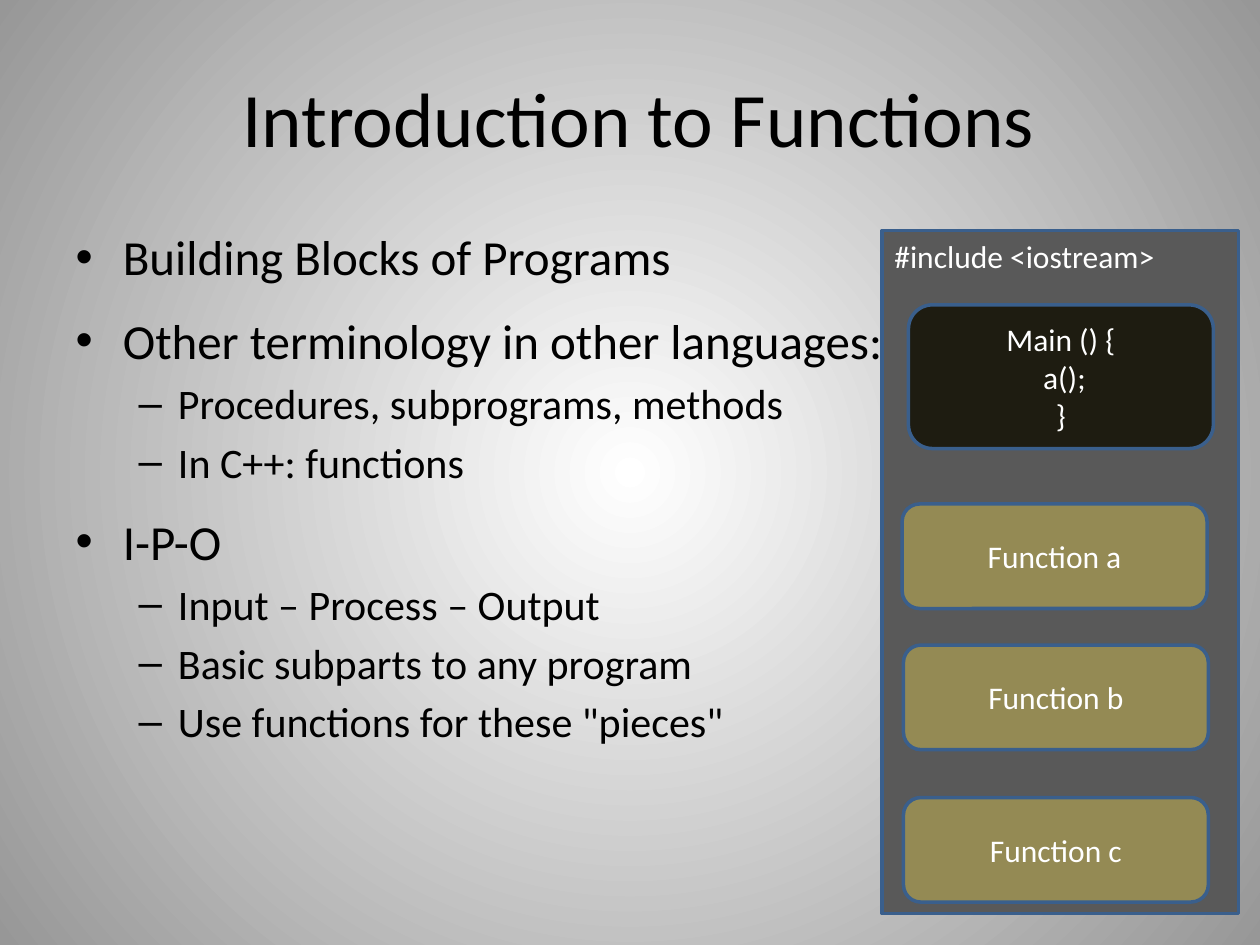
import pptx
import pptx.util
import pptx.dml.color
import pptx.enum.shapes
import pptx.enum.text
import pptx.oxml
import pptx.oxml.ns

Inches = pptx.util.Inches
Pt = pptx.util.Pt
RGBColor = pptx.dml.color.RGBColor
SHAPE = pptx.enum.shapes.MSO_SHAPE
ANCHOR = pptx.enum.text.MSO_ANCHOR
ALIGN = pptx.enum.text.PP_ALIGN

BLACK = RGBColor(0x00, 0x00, 0x00)
WHITE = RGBColor(0xFF, 0xFF, 0xFF)
EDGE_GRAY = RGBColor(0x97, 0x97, 0x97)
PANEL_GRAY = RGBColor(0x59, 0x59, 0x59)
OLIVE = RGBColor(0x94, 0x8A, 0x54)
DARK_OLIVE = RGBColor(0x1E, 0x1C, 0x11)
OUTLINE_BLUE = RGBColor(0x3A, 0x5F, 0x8C)
FONT = "Calibri"

# level, text, space before in points (None keeps the template's)
TOPICS = [
    (0, "Building Blocks of Programs", None),
    (0, "Other terminology in other languages:", 14),
    (1, "Procedures, subprograms, methods", None),
    (1, "In C++: functions", None),
    (0, "I-P-O", 14),
    (1, "Input – Process – Output", None),
    (1, "Basic subparts to any program", None),
    (1, 'Use functions for these "pieces"', None),
]
TOPIC_SIZES = (28, 24)

# name, left and top inside the program panel
FUNCTIONS = [("Function a", 0.16, 2.17),
             ("Function b", 0.17, 3.29),
             ("Function c", 0.17, 4.5)]


def place(part, left, top, width, height):
    part.left, part.top = Inches(left), Inches(top)
    part.width, part.height = Inches(width), Inches(height)


def add_run(paragraph, text, size, color):
    run = paragraph.add_run()
    run.text = text
    run.font.name = FONT
    run.font.size = Pt(size)
    run.font.color.rgb = color


def next_paragraph(frame, index):
    return frame.add_paragraph() if index else frame.paragraphs[0]


def paint_background(slide):
    fill = slide.background.fill
    fill.gradient()
    for stop, color in zip(fill.gradient_stops, (WHITE, EDGE_GRAY)):
        stop.color.rgb = color
    # Swap the linear direction for a circle around the centre
    linear = next(slide.element.iter(pptx.oxml.ns.qn("a:lin")))
    circle = pptx.oxml.parse_xml(
        f'<a:path {pptx.oxml.ns.nsdecls("a")} path="circle">'
        '<a:fillToRect l="50000" t="50000" r="50000" b="50000"/></a:path>')
    linear.getparent().replace(linear, circle)


def fill_title(title, box):
    place(title, *box)
    title.text_frame.vertical_anchor = ANCHOR.MIDDLE
    heading = title.text_frame.paragraphs[0]
    heading.alignment = ALIGN.CENTER
    add_run(heading, " Introduction to Functions", 44, BLACK)


def fill_topics(body, box):
    place(body, *box)
    for index, (level, text, space) in enumerate(TOPICS):
        topic = next_paragraph(body.text_frame, index)
        topic.level = level
        if space:
            topic.space_before = Pt(space)
        add_run(topic, text, TOPIC_SIZES[level], BLACK)


def add_block(slide, kind, box, color, lines, align=ALIGN.CENTER,
              anchor=ANCHOR.MIDDLE):
    block = slide.shapes.add_shape(kind, *map(Inches, box))
    block.shadow.inherit = False
    block.fill.solid()
    block.fill.fore_color.rgb = color
    block.line.color.rgb = OUTLINE_BLUE
    block.line.width = Pt(2)
    frame = block.text_frame
    frame.word_wrap = True
    frame.vertical_anchor = anchor
    for index, text in enumerate(lines):
        code_line = next_paragraph(frame, index)
        code_line.alignment = align
        add_run(code_line, text, 18, WHITE)


def add_program(slide, box):
    left, top, _, _ = box
    # Source file that holds all the functions
    add_block(slide, SHAPE.RECTANGLE, box, PANEL_GRAY,
              ["#include <iostream>"], ALIGN.LEFT, ANCHOR.TOP)
    for name, dx, dy in FUNCTIONS:
        add_block(slide, SHAPE.ROUNDED_RECTANGLE,
                  (left + dx, top + dy, 2.42, 0.83), OLIVE, [name])
    # Main function, which calls a
    add_block(slide, SHAPE.ROUNDED_RECTANGLE,
              (left + 0.21, top + 0.59, 2.42, 1.14), DARK_OLIVE,
              ["Main () {", " a();", "}"])


def main():
    deck = pptx.Presentation()
    deck.slide_width, deck.slide_height = Inches(10), Inches(7.5)
    slide = deck.slides.add_slide(deck.slide_layouts[1])
    paint_background(slide)
    fill_title(slide.shapes.title, (0.5, 0.3, 9, 1.25))
    fill_topics(slide.placeholders[1], (0.5, 1.75, 9, 4.95))
    add_program(slide, (7, 1.83, 2.83, 5.42))
    deck.save("out.pptx")


if __name__ == "__main__":
    main()
